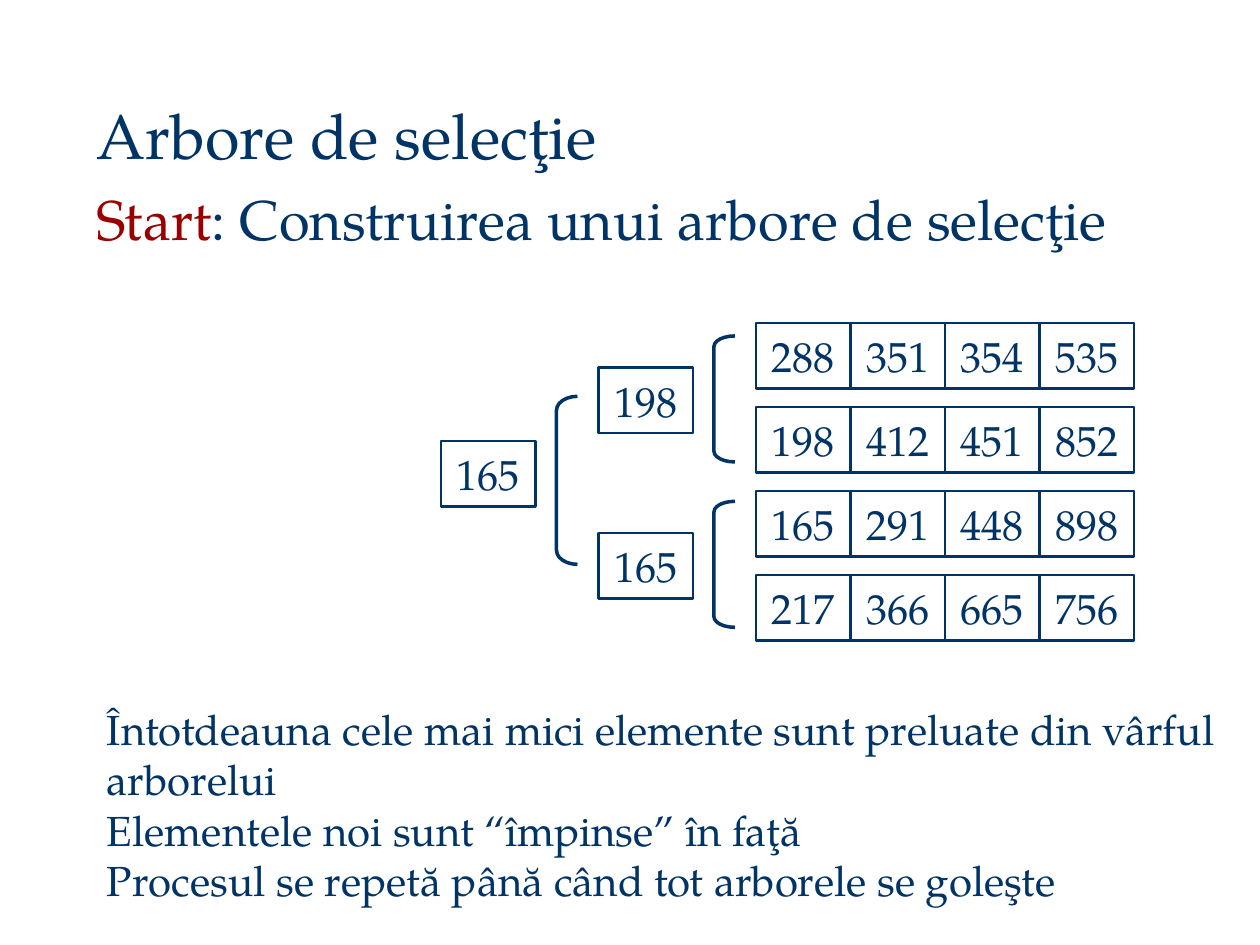
from pptx import Presentation
from pptx.dml.color import RGBColor
from pptx.enum.shapes import MSO_SHAPE
from pptx.enum.text import MSO_ANCHOR, MSO_AUTO_SIZE, PP_ALIGN
from pptx.util import Inches, Pt

NAVY = RGBColor(0x00, 0x33, 0x66)
RED = RGBColor(0x9A, 0x00, 0x00)
WHITE = RGBColor(0xFF, 0xFF, 0xFF)
FONT = "TeX Gyre Pagella"
UNIT = Inches(1) / 12  # the slide is a grid of 120 columns by 90 rows

CELL_W, CELL_H = 9, 6.25
RUNS = [
    (288, 351, 354, 535),
    (198, 412, 451, 852),
    (165, 291, 448, 898),
    (217, 366, 665, 756),
]
RUN_COL, RUN_ROW, RUN_STEP = 72, 30.75, 8
NODES = [(198, 57, 35), (165, 57, 50.75), (165, 42, 42)]
BRACKETS = [(68, 32, 12), (68, 47.75, 12), (53, 37.75, 16)]
NOTES = [
    "Întotdeauna cele mai mici elemente sunt preluate din vârful arborelui",
    "Elementele noi sunt “împinse” în faţă",
    "Procesul se repetă până când tot arborele se goleşte",
]


def grid(*spans):
    return [round(span * UNIT) for span in spans]


def write(frame, *lines, size=24, align=PP_ALIGN.LEFT, anchor=MSO_ANCHOR.TOP):
    """Fill a frame; each line is a list of (text, colour) runs."""
    frame.word_wrap = True
    frame.auto_size = MSO_AUTO_SIZE.NONE
    frame.vertical_anchor = anchor
    for i, line in enumerate(lines):
        para = frame.add_paragraph() if i else frame.paragraphs[0]
        para.alignment = align
        for text, color in line:
            run = para.add_run()
            run.text = text
            run.font.name = FONT
            run.font.size = Pt(size)
            run.font.color.rgb = color


class Board:
    """Draws the selection tree on one slide."""

    def __init__(self, slide):
        self.slide = slide

    def holder(self, index, box, *lines, **style):
        shape = self.slide.placeholders[index]
        shape.left, shape.top, shape.width, shape.height = grid(*box)
        write(shape.text_frame, *lines, **style)

    def note(self, box, *lines, **style):
        shape = self.slide.shapes.add_textbox(*grid(*box))
        write(shape.text_frame, *lines, **style)

    def shape(self, kind, box, weight):
        shape = self.slide.shapes.add_shape(kind, *grid(*box))
        shape.shadow.inherit = False
        shape.line.color.rgb = NAVY
        shape.line.width = Pt(weight)
        return shape

    def cell(self, value, col, row):
        shape = self.shape(MSO_SHAPE.RECTANGLE, (col, row, CELL_W, CELL_H), 1.5)
        shape.fill.solid()
        shape.fill.fore_color.rgb = WHITE
        write(shape.text_frame, [(str(value), NAVY)],
              align=PP_ALIGN.CENTER, anchor=MSO_ANCHOR.MIDDLE)

    def bracket(self, col, row, high):
        shape = self.shape(MSO_SHAPE.LEFT_BRACKET, (col, row, 2, high), 2)
        shape.fill.background()
        shape.adjustments[0] = high / 24


def main():
    deck = Presentation()
    deck.slide_width, deck.slide_height = grid(120, 90)
    board = Board(deck.slides.add_slide(deck.slide_layouts[0]))

    board.holder(0, (8, 8.5, 112, 8.5), [("Arbore de selecţie", NAVY)],
                 size=36, anchor=MSO_ANCHOR.BOTTOM)
    board.holder(1, (8, 17, 111, 68),
                 [("Start", RED), (": Construirea unui arbore de selecţie", NAVY)],
                 size=32)
    board.note((9, 66.4, 112, 20.6), *[[(line, NAVY)] for line in NOTES])

    for i, run in enumerate(RUNS):
        for j, value in enumerate(run):
            board.cell(value, RUN_COL + j * CELL_W, RUN_ROW + i * RUN_STEP)
    for node in NODES:
        board.cell(*node)
    for bracket in BRACKETS:
        board.bracket(*bracket)

    deck.save("out.pptx")


if __name__ == "__main__":
    main()
